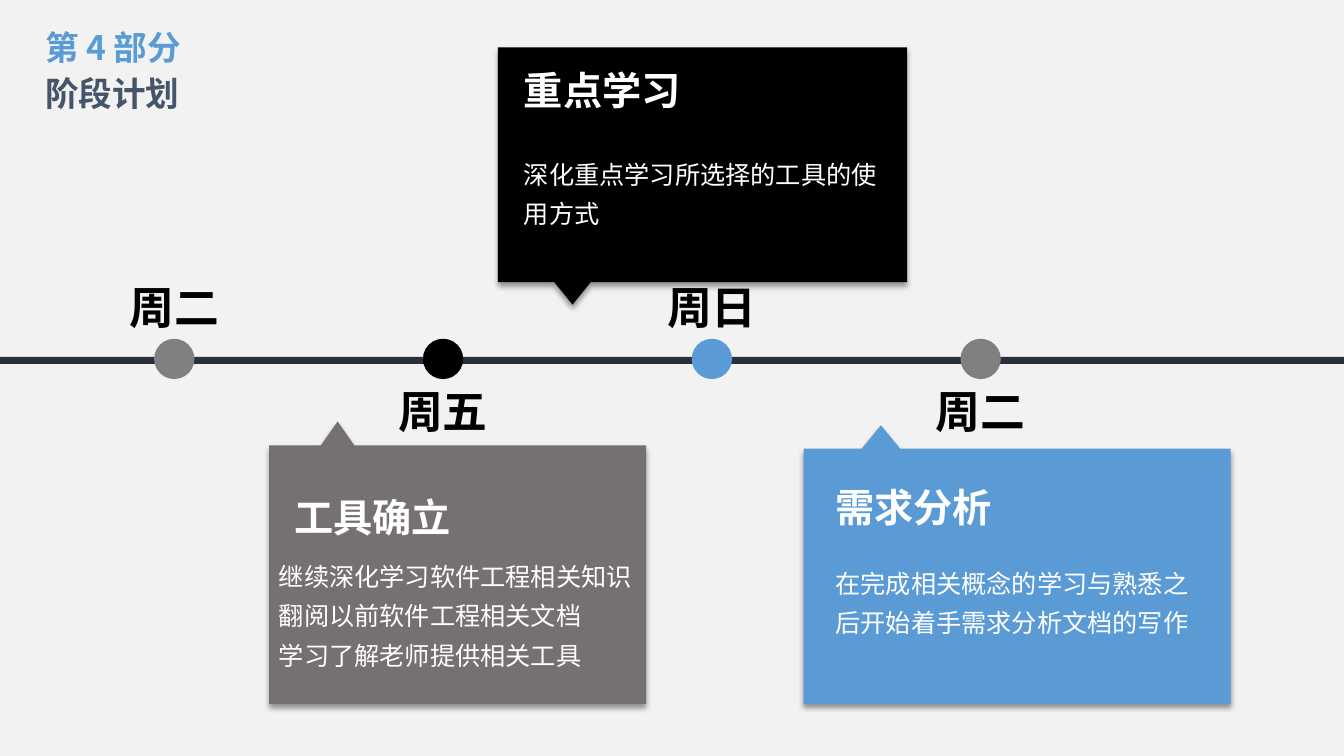
from dataclasses import dataclass

from lxml import etree
from pptx import Presentation
from pptx.dml.color import RGBColor
from pptx.enum import shapes, text
from pptx.oxml import ns
from pptx.util import Pt

FONT = "Noto Sans CJK SC"
BLACK, WHITE, GREY, BLUE = "000000", "FFFFFF", "808080", "5B9BD5"
SLATE, RAIL, STONE, PAPER = "44546A", "29303A", "767171", "F2F2F2"


@dataclass
class Callout:
    """A card; tip and text places are offsets from the card's top left corner."""
    box: tuple
    tip: tuple
    tip_half: float
    color: str
    title: str
    title_at: tuple
    lines: list
    lines_at: tuple
    lines_width: float


CALLOUTS = [
    Callout((355.7, 33.8, 292.3, 167.8), (53.3, 183.8), 13, BLACK,
            "重点学习", (11.5, 10.2),
            ["深化重点学习所选择的工具的使用方式"], (11.5, 69.9), 268.6),
    Callout((192.2, 318.2, 269.3, 184.6), (49, -17.2), 12, STONE,
            "工具确立", (10.8, 30.3),
            ["继续深化学习软件工程相关知识", "翻阅以前软件工程相关文档",
             "学习了解老师提供相关工具"], (0, 72.8), 269.3),
    Callout((574, 320.5, 305, 182.3), (55.3, -16.7), 13.7, BLUE,
            "需求分析", (15.7, 21.5),
            ["在完成相关概念的学习与熟悉之后开始着手需求分析文档的写作"],
            (15.7, 75.5), 280.8),
]
DAYS = [("周二", GREY), ("周五", BLACK), ("周日", BLUE), ("周二", GREY)]


def paint(fill, color):
    fill.solid()
    fill.fore_color.rgb = RGBColor.from_string(color)


def add_text(slide, box, lines, size, color, bold=False, spacing=None,
             align=text.PP_ALIGN.LEFT, wrap=True, anchor=text.MSO_ANCHOR.TOP):
    frame = slide.shapes.add_textbox(*map(Pt, box)).text_frame
    frame.word_wrap = wrap
    frame.vertical_anchor = anchor
    frame.text = "\n".join(lines)
    for paragraph in frame.paragraphs:
        paragraph.alignment = align
        if spacing:
            paragraph.line_spacing = spacing
        font = paragraph.font
        font.name, font.size, font.bold = FONT, Pt(size), bold
        paint(font.fill, color)
        properties = paragraph._p.pPr.find(ns.qn("a:defRPr"))
        latin = properties.find(ns.qn("a:latin"))
        east_asian = etree.Element(ns.qn("a:ea"), typeface=FONT)
        latin.addnext(east_asian)


def add_solid(slide, kind, box, color):
    solid = slide.shapes.add_shape(kind, *map(Pt, box))
    paint(solid.fill, color)
    solid.line.fill.background()
    solid.shadow.inherit = False


def drop_shadow(shape):
    shape.shadow.inherit = False
    effects = shape._element.spPr.find(ns.qn("a:effectLst"))
    shadow = etree.SubElement(effects, ns.qn("a:outerShdw"), blurRad=str(Pt(4)),
                              dist=str(Pt(3)), dir="5400000", rotWithShape="0")
    tint = etree.SubElement(shadow, ns.qn("a:srgbClr"), val=BLACK)
    etree.SubElement(tint, ns.qn("a:alpha"), val="40000")


def add_header(slide, left, top):
    add_text(slide, (left, top, 139, 33), ["第 4 部分"], 24, BLUE, bold=True,
             spacing=0.8, anchor=text.MSO_ANCHOR.MIDDLE)
    add_text(slide, (left, top + 31.7, 114, 42), ["阶段计划"], 24, SLATE,
             bold=True, spacing=0.9)


def add_timeline(slide, left, top, width):
    """Rail with evenly spaced dots; day names alternate above and below."""
    dot, pitch, first = 28.8, 192, 124.5
    label_width, label_height = 79.2, 46
    add_solid(slide, shapes.MSO_SHAPE.RECTANGLE, (left, top, width, 5), RAIL)
    dot_top = top - 13
    for index, (day, color) in enumerate(DAYS):
        center = left + first + index * pitch
        add_solid(slide, shapes.MSO_SHAPE.OVAL,
                  (center - dot / 2, dot_top, dot, dot), color)
        label_top = dot_top + dot if index % 2 else dot_top - label_height
        add_text(slide, (center - label_width / 2, label_top, label_width, label_height),
                 [day], 32, BLACK, bold=True, wrap=False, align=text.PP_ALIGN.CENTER)


def add_callout(slide, card):
    left, top, width, height = card.box
    tip_x, tip_y = left + card.tip[0], top + card.tip[1]
    right, bottom = left + width, top + height
    near, far = (top, bottom) if tip_y < top else (bottom, top)
    outline = [(tip_x, tip_y), (tip_x + card.tip_half, near), (right, near),
               (right, far), (left, far), (left, near), (tip_x - card.tip_half, near)]
    start, *corners = [(Pt(x), Pt(y)) for x, y in outline]
    builder = slide.shapes.build_freeform(*start)
    builder.add_line_segments(corners, close=True)
    bubble = builder.convert_to_shape()
    paint(bubble.fill, card.color)
    bubble.line.fill.background()
    drop_shadow(bubble)

    title_x, title_y = card.title_at
    lines_x, lines_y = card.lines_at
    add_text(slide, (left + lines_x, top + lines_y, card.lines_width, 31 * len(card.lines)),
             card.lines, 18, WHITE, spacing=1.3)
    add_text(slide, (left + title_x, top + title_y, 127.5, 41), [card.title], 28,
             WHITE, bold=True, wrap=False)


def main():
    deck = Presentation()
    deck.slide_width, deck.slide_height = Pt(960), Pt(540)
    slide = deck.slides.add_slide(deck.slide_layouts[6])
    paint(slide.background.fill, PAPER)
    add_header(slide, 25.2, 20)
    add_timeline(slide, 0, 255, 960)
    for card in CALLOUTS:
        add_callout(slide, card)
    deck.save("out.pptx")


if __name__ == "__main__":
    main()
